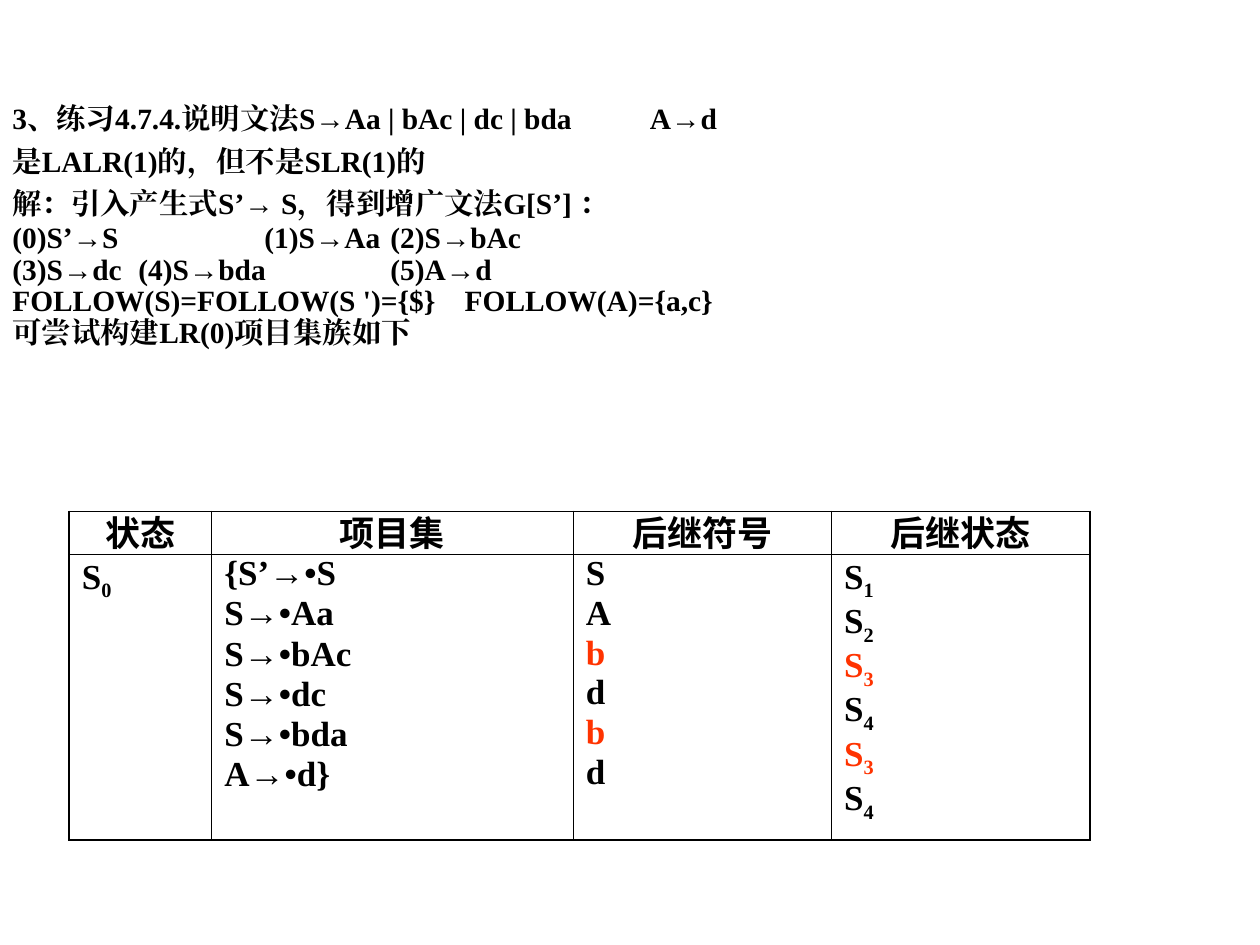
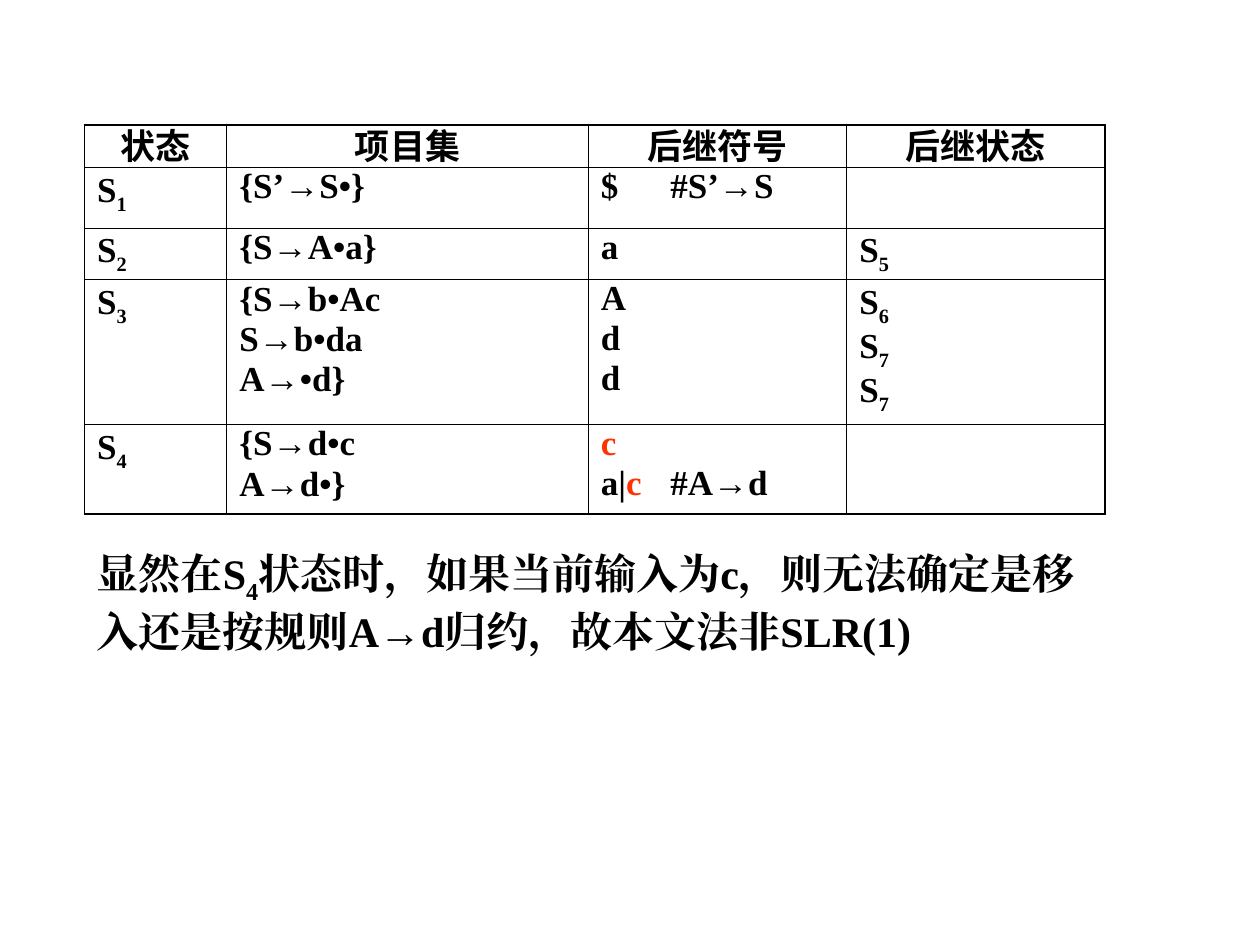
from dataclasses import dataclass
from itertools import groupby

from lxml import etree
from pptx import Presentation
from pptx.dml.color import RGBColor
from pptx.enum.text import PP_ALIGN
from pptx.oxml.ns import qn
from pptx.util import Inches, Pt

CENTER = PP_ALIGN.CENTER
LEFT = PP_ALIGN.LEFT
GRID_COLUMNS, GRID_ROWS = 100, 75


@dataclass(frozen=True)
class TextStyle:
    """Type settings of one kind of paragraph."""
    size: float
    font: str = "Times New Roman"
    spacing: float = 1.0
    before: float = 0
    align: int = LEFT
    tabs: tuple = ()


@dataclass(frozen=True)
class Theme:
    """Colours, line widths and type styles of the deck."""
    ink: RGBColor = RGBColor(0, 0, 0)
    conflict: RGBColor = RGBColor(0xFF, 0x33, 0)
    arrow_font: str = "Arial"
    outer_line: float = 1.08
    inner_line: float = 0.45
    grammar: TextStyle = TextStyle(16.8, spacing=0.9, before=6)
    productions: TextStyle = TextStyle(16.8, spacing=0.6, before=6, tabs=(1, 2, 3, 3.59))
    question: TextStyle = TextStyle(16.8, spacing=0.9, before=6, tabs=(5.06,))
    heading: TextStyle = TextStyle(20, "Noto Sans CJK SC", 0.7, 5, CENTER)
    item: TextStyle = TextStyle(20, spacing=0.8, before=5, tabs=(0.55,))
    conclusion: TextStyle = TextStyle(24)


def spans(markup):
    """Yield each character with its red, subscript and arrow flags."""
    red = sub = False
    for char in markup:
        if char in "<>":
            red = char == "<"
        elif char == "_":
            sub = True
        else:
            yield char, (red, sub, char == "→")
            sub = False


class Deck:
    """Holds the theme and the current slide, and draws on its grid."""

    def __init__(self, theme):
        """Start a presentation ten by seven and a half inches."""
        self.theme = theme
        self.file = Presentation()
        self.file.slide_width, self.file.slide_height = Inches(10), Inches(7.5)
        self.slide = None

    def add_slide(self):
        """Add a blank slide and make it current."""
        self.slide = self.file.slides.add_slide(self.file.slide_layouts[6])

    def across(self, columns):
        """Turn grid columns into a length."""
        return round(self.file.slide_width * columns / GRID_COLUMNS)

    def down(self, rows):
        """Turn grid rows into a length."""
        return round(self.file.slide_height * rows / GRID_ROWS)

    def fill_frame(self, frame, lines):
        """Fill a text frame with pairs of marked-up text and style."""
        for index, (markup, style) in enumerate(lines):
            paragraph = frame.add_paragraph() if index else frame.paragraphs[0]
            paragraph.alignment = style.align
            paragraph.line_spacing = style.spacing
            paragraph.space_before = Pt(style.before if index else 0)
            if style.tabs:
                stops = etree.SubElement(paragraph._p.get_or_add_pPr(), qn("a:tabLst"))
                for stop in style.tabs:
                    etree.SubElement(stops, qn("a:tab"), pos=str(Inches(stop)), algn="l")
            font = paragraph.font
            font.size, font.bold, font.name = Pt(style.size), True, style.font
            font.color.rgb = self.theme.ink
            etree.SubElement(font._element, qn("a:ea"), typeface=style.font)
            self.add_runs(paragraph, markup)

    def add_runs(self, paragraph, markup):
        """Add the runs of one paragraph."""
        for (red, sub, arrow), group in groupby(spans(markup), key=lambda span: span[1]):
            run = paragraph.add_run()
            run.text = "".join(char for char, _ in group)
            if red:
                run.font.color.rgb = self.theme.conflict
            if sub:
                run.font._element.set("baseline", "-25000")
            if arrow:
                run.font.name = self.theme.arrow_font

    def text(self, left, top, width, height, lines):
        """Place a wrapping text box."""
        box = self.slide.shapes.add_textbox(
            self.across(left), self.down(top), self.across(width), self.down(height))
        box.text_frame.word_wrap = True
        self.fill_frame(box.text_frame, lines)

    def rule_cell(self, cell, outer_sides):
        """Clear a cell's fill and draw its four borders."""
        cell.fill.background()
        properties = cell._tc.get_or_add_tcPr()
        for index, side in enumerate("LRTB"):
            width = self.theme.outer_line if side in outer_sides else self.theme.inner_line
            line = etree.Element(qn(f"a:ln{side}"), w=str(Pt(width)))
            fill = etree.SubElement(line, qn("a:solidFill"))
            etree.SubElement(fill, qn("a:srgbClr"), val=str(self.theme.ink))
            properties.insert(index, line)

    def table(self, left, top, widths, heights, rows):
        """Place a ruled table whose first row is the heading."""
        table = self.slide.shapes.add_table(
            len(rows), len(widths), self.across(left), self.down(top),
            self.across(sum(widths)), self.down(sum(heights))).table
        table.first_row = table.horz_banding = False
        for column, width in zip(table.columns, widths):
            column.width = self.across(width)
        for r, (row, height) in enumerate(zip(rows, heights)):
            table.rows[r].height = self.down(height)
            style = self.theme.item if r else self.theme.heading
            for c, content in enumerate(row):
                cell = table.cell(r, c)
                self.fill_frame(cell.text_frame, [(line, style) for line in content.split("\n")])
                edges = {"L": c == 0, "R": c == len(widths) - 1,
                         "T": r == 0, "B": r == len(rows) - 1}
                self.rule_cell(cell, [side for side, outer in edges.items() if outer])


STATE_WIDTHS = (11.3, 28.7, 20.5, 20.5)
STATE_HEADINGS = ("状态", "项目集", "后继符号", "后继状态")


def exercise_slide(deck):
    """State the exercise and the initial item set."""
    theme = deck.theme
    deck.add_slide()
    deck.text(0, 7.8, 100, 21.1, [
        ("3、练习4.7.4.说明文法S→Aa | bAc | dc | bda\tA→d", theme.question),
        ("是LALR(1)的，但不是SLR(1)的", theme.grammar),
        ("解：引入产生式S’→ S，得到增广文法G[S’] ：", theme.grammar),
        ("(0)S’→S　\t(1)S→Aa\t(2)S→bAc", theme.productions),
        ("(3)S→dc\t(4)S→bda\t(5)A→d", theme.productions),
        ("FOLLOW(S)=FOLLOW(S ')={$}\tFOLLOW(A)={a,c}", theme.productions),
        ("可尝试构建LR(0)项目集族如下", theme.productions),
    ])
    deck.table(5.5, 40.6, STATE_WIDTHS, (3.4, 22.7), [
        STATE_HEADINGS,
        ("S_0", "{S’→•S\nS→•Aa\nS→•bAc\nS→•dc\nS→•bda\nA→•d}",
         "S\nA\n<b>\nd\n<b>\nd", "S_1\nS_2\n<S_3>\nS_4\n<S_3>\nS_4"),
    ])


def conflict_slide(deck):
    """List the next item sets and the conflict in them."""
    deck.add_slide()
    deck.table(6.7, 9.9, STATE_WIDTHS, (3.4, 4.8, 4.1, 11.5, 7.1), [
        STATE_HEADINGS,
        ("S_1", "{S’→S•}", "$\t#S’→S", ""),
        ("S_2", "{S→A•a}", "a", "S_5"),
        ("S_3", "{S→b•Ac\nS→b•da\nA→•d}", "A\nd\nd", "S_6\nS_7\nS_7"),
        ("S_4", "{S→d•c\nA→d•}", "<c>\na|<c>\t#A→d", ""),
    ])
    deck.text(6.7, 43, 80.3, 9.6, [
        ("显然在S_4状态时，如果当前输入为c，则无法确定是移入还是按规则A→d归约，故本文法非SLR(1)",
         deck.theme.conclusion),
    ])


def main():
    """Build and save the deck."""
    deck = Deck(Theme())
    exercise_slide(deck)
    conflict_slide(deck)
    deck.file.save("out.pptx")


if __name__ == "__main__":
    main()
